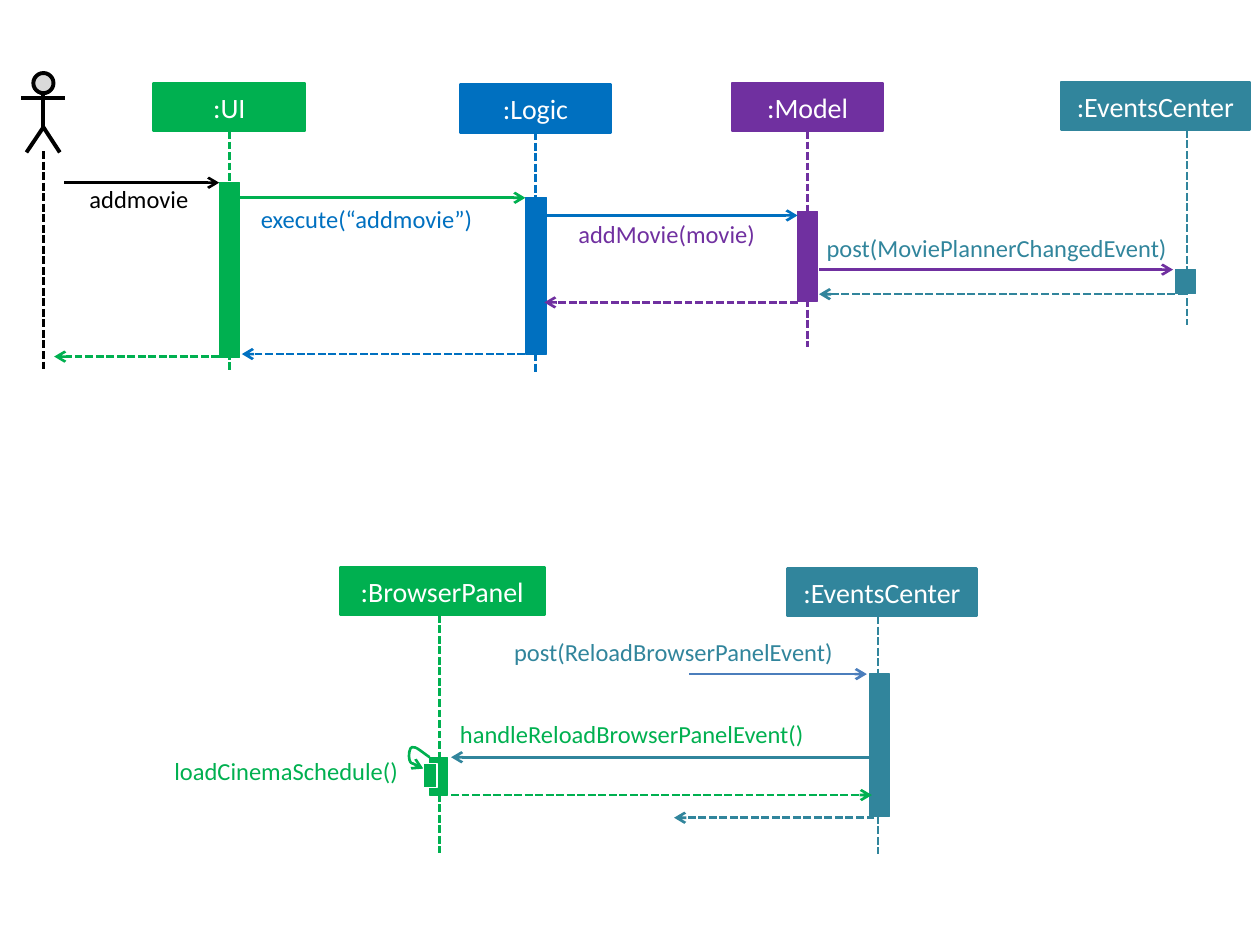
import lxml.etree
import pptx
import pptx.dml.color
import pptx.enum.dml
import pptx.enum.shapes
import pptx.enum.text
import pptx.oxml.ns
import pptx.util

RGBColor = pptx.dml.color.RGBColor
GREEN = RGBColor(0x00, 0xB0, 0x50)
BLUE = RGBColor(0x00, 0x70, 0xC0)
PURPLE = RGBColor(0x70, 0x30, 0xA0)
TEAL = RGBColor(0x31, 0x85, 0x9C)
STEEL = RGBColor(0x4B, 0x7E, 0xBC)
GREY = RGBColor(0xD9, 0xD9, 0xD9)
BLACK = RGBColor(0x00, 0x00, 0x00)
WHITE = RGBColor(0xFF, 0xFF, 0xFF)
SHAPE = pptx.enum.shapes.MSO_SHAPE
ALIGN = pptx.enum.text.PP_ALIGN
ANCHOR = pptx.enum.text.MSO_ANCHOR
qn = pptx.oxml.ns.qn

presentation = pptx.Presentation()
presentation.slide_width = pptx.util.Inches(10)
presentation.slide_height = pptx.util.Inches(7.5)
slide = presentation.slides.add_slide(presentation.slide_layouts[6])

# Grid of 100 columns by 75 rows
COLUMN = presentation.slide_width / 100
ROW = presentation.slide_height / 75


def draw_box(preset, left, top, width, height, fill, outline, weight):
    shape = slide.shapes.add_shape(preset, round(left * COLUMN), round(top * ROW),
                                   round(width * COLUMN), round(height * ROW))
    shape.shadow.inherit = False
    shape.fill.solid()
    shape.fill.fore_color.rgb = fill
    shape.line.color.rgb = outline
    shape.line.width = pptx.util.Pt(weight)
    return shape


def draw_line(x1, y1, x2, y2, colour, dashed=False, arrow=False, weight=1.5):
    """Draw a straight connector; an arrow points at (x2, y2)."""
    connector = slide.shapes.add_connector(
        pptx.enum.shapes.MSO_CONNECTOR.STRAIGHT,
        round(x1 * COLUMN), round(y1 * ROW), round(x2 * COLUMN), round(y2 * ROW))
    connector.line.color.rgb = colour
    connector.line.width = pptx.util.Pt(weight)
    if dashed:
        connector.line.dash_style = pptx.enum.dml.MSO_LINE.SQUARE_DOT
    if arrow:
        lxml.etree.SubElement(connector.line._get_or_add_ln(), qn("a:tailEnd"), type="arrow")
    lxml.etree.SubElement(connector._element.spPr, qn("a:effectLst"))
    return connector


# Actor: head, body, arms, legs, then lifeline
head = draw_box(SHAPE.FLOWCHART_CONNECTOR, 2.65, 5.8, 1.6, 1.6, GREY, BLACK, 2.25)
body = draw_line(3.45, 7.4, 3.45, 10.2, BLACK, weight=2.25)
arms = draw_line(1.7, 7.8, 5.2, 7.8, BLACK, weight=2.25)
builder = slide.shapes.build_freeform(2.1 * COLUMN, 12.1 * ROW)
builder.add_line_segments([(3.45 * COLUMN, 10.1 * ROW), (4.75 * COLUMN, 12.1 * ROW)], close=False)
legs = builder.convert_to_shape()
legs.shadow.inherit = False
legs.fill.background()
legs.line.color.rgb = BLACK
legs.line.width = pptx.util.Pt(2.25)
slide.shapes.add_group_shape([head, body, arms, legs])
draw_line(3.45, 12, 3.45, 29.5, BLACK, dashed=True)

# Participants: name, left, top, width, colour, lifeline column, lifeline end,
# then left, top, width and height of the activation
participants = [
    (":UI", 12.2, 6.6, 12, GREEN, 18.2, 29.5, (17.4, 14.5, 1.6, 13.9)),
    (":Logic", 36.5, 6.7, 12, BLUE, 42.5, 29.5, (41.7, 15.7, 1.7, 12.4)),
    (":Model", 58.1, 6.6, 12, PURPLE, 64.1, 27.5, (63.3, 16.8, 1.6, 7.1)),
    (":EventsCenter", 84.2, 6.5, 15, TEAL, 94.2, 25.8, (93.3, 21.4, 1.6, 1.9)),
    (":EventsCenter", 62.5, 45.1, 15, TEAL, 69.7, 67.8, (69, 53.5, 1.6, 11.3)),
    (":BrowserPanel", 27, 45, 16.2, GREEN, 34.9, 67.7, (34.1, 60.1, 1.4, 3)),
]
HEADER_HEIGHT = 3.8
header_format = {"vertical_anchor": ANCHOR.MIDDLE, "word_wrap": True}
for name, left, top, width, colour, axis, end, activation in participants:
    header = draw_box(SHAPE.RECTANGLE, left, top, width, HEADER_HEIGHT, colour, colour, 1.5)
    for attribute, value in header_format.items():
        setattr(header.text_frame, attribute, value)
    paragraph = header.text_frame.paragraphs[0]
    paragraph.text = name
    paragraph.alignment = ALIGN.CENTER
    font = paragraph.runs[0].font
    font.name = "Calibri"
    font.size = pptx.util.Pt(16)
    font.color.rgb = WHITE
    lifeline = draw_line(axis, top + HEADER_HEIGHT, axis, end, colour, dashed=True)
    if abs(left + width / 2 - axis) < 0.01:
        lifeline.begin_connect(header, 2)
    draw_box(SHAPE.RECTANGLE, *activation, colour, colour, 0.75)

# Messages: from column, to column, row, colour, dashed when a return
messages = [
    (5.1, 17.4, 14.5, BLACK, False),
    (19, 41.7, 15.7, GREEN, False),
    (43.2, 63.3, 17.1, BLUE, False),
    (65, 93.1, 21.4, PURPLE, False),
    (94.1, 65, 23.35, TEAL, True),
    (63.3, 43.2, 24, PURPLE, True),
    (41.7, 19.2, 28.1, BLUE, True),
    (17.4, 4.3, 28.3, GREEN, True),
    (54.7, 68.8, 53.5, STEEL, False),
    (69.2, 35.8, 60.1, TEAL, False),
    (35.8, 69.2, 63.1, GREEN, True),
    (69.4, 53.5, 64.9, TEAL, True),
]
for start, end, row, colour, is_return in messages:
    draw_line(start, row, end, row, colour, dashed=is_return, arrow=True)

# Self call: a curve of three cubic segments ending at the nested activation
curve = [(34.1, 60.1), (33.5, 59.7), (33, 59.2), (32.7, 59.3), (32.5, 59.3),
         (32.4, 60), (32.5, 60.3), (32.6, 60.6), (33.1, 60.8), (33.6, 61)]
points = [(x * COLUMN, y * ROW) for x, y in curve]
builder = slide.shapes.build_freeform(*points[0])
builder.add_line_segments(points[1:], close=False)
self_call = builder.convert_to_shape()
self_call.shadow.inherit = False
self_call.fill.background()
self_call.line.color.rgb = GREEN
self_call.line.width = pptx.util.Pt(1.5)
lxml.etree.SubElement(self_call.line._get_or_add_ln(), qn("a:tailEnd"), type="arrow")
segments = list(self_call._element.iter(qn("a:lnTo")))
outline = segments[0].getparent()
for first in range(0, len(segments), 3):
    bezier = lxml.etree.SubElement(outline, qn("a:cubicBezTo"))
    for segment in segments[first:first + 3]:
        bezier.append(segment[0])
        outline.remove(segment)
draw_box(SHAPE.RECTANGLE, 33.6, 60.6, 1.1, 1.9, GREEN, WHITE, 0.75)

# Labels: text, left, top, width, colour, alignment
labels = [
    ("addmovie", 7.1, 14.6, 8.2, BLACK, ALIGN.LEFT),
    ("execute(“addmovie”)", 20.7, 16.2, 20.8, BLUE, ALIGN.LEFT),
    ("addMovie(movie)", 45.9, 17.4, 18.8, PURPLE, ALIGN.LEFT),
    ("post(MoviePlannerChangedEvent)", 65.6, 18.5, 27.5, TEAL, ALIGN.LEFT),
    ("post(ReloadBrowserPanelEvent)", 40.8, 50.6, 29.7, TEAL, ALIGN.LEFT),
    ("handleReloadBrowserPanelEvent()", 36.5, 57.1, 29.1, GREEN, ALIGN.LEFT),
    ("loadCinemaSchedule()", 12.2, 60, 19.4, GREEN, ALIGN.RIGHT),
]
label_format = {"margin_left": 0, "margin_top": 0, "margin_right": 0, "margin_bottom": 0,
                "word_wrap": True, "auto_size": pptx.enum.text.MSO_AUTO_SIZE.SHAPE_TO_FIT_TEXT}
for text, left, top, width, colour, alignment in labels:
    label = slide.shapes.add_textbox(round(left * COLUMN), round(top * ROW),
                                     round(width * COLUMN), round(2.4 * ROW))
    for attribute, value in label_format.items():
        setattr(label.text_frame, attribute, value)
    paragraph = label.text_frame.paragraphs[0]
    paragraph.text = text
    paragraph.alignment = alignment
    font = paragraph.runs[0].font
    font.name = "Calibri"
    font.size = pptx.util.Pt(14)
    font.color.rgb = colour

presentation.save("out.pptx")
